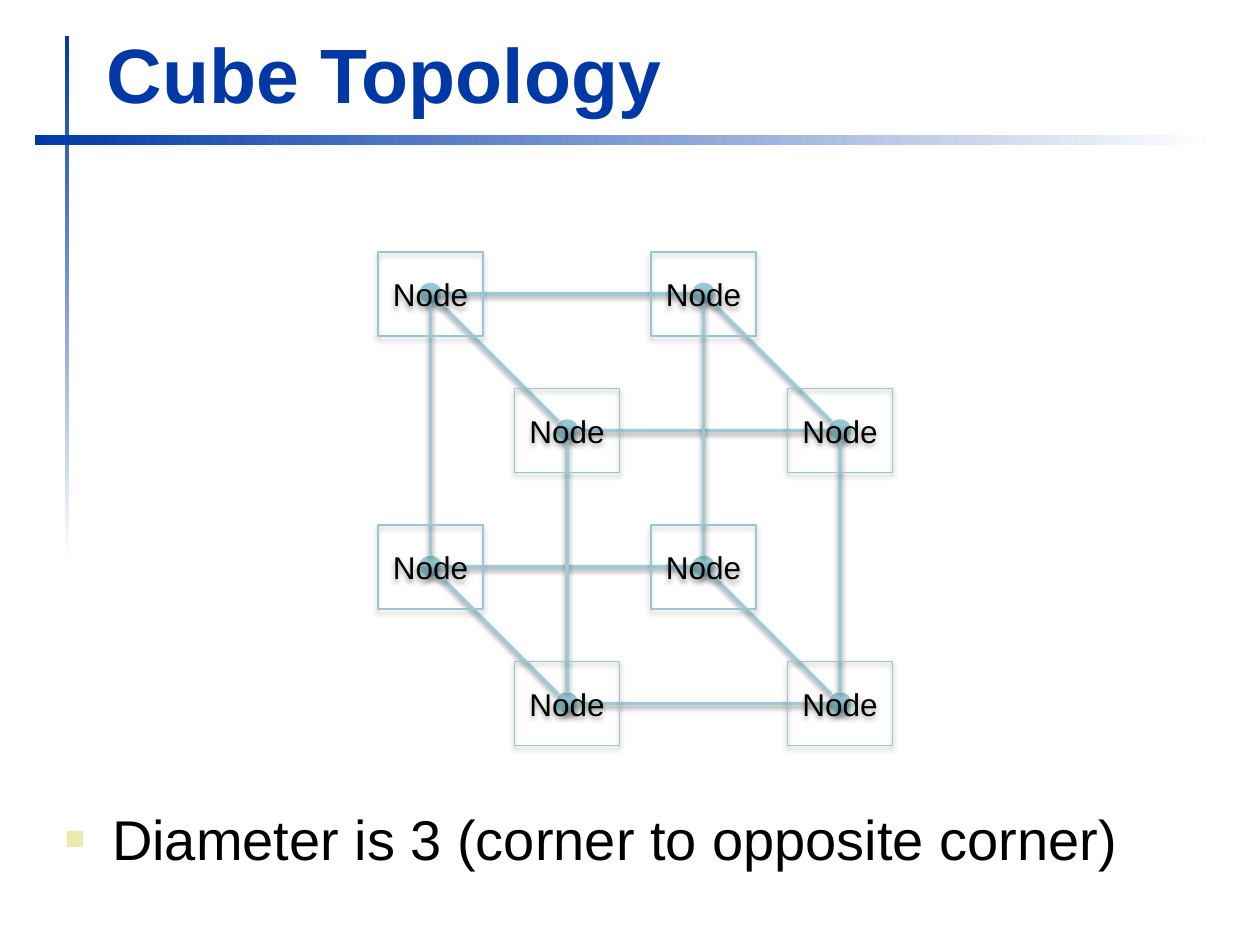
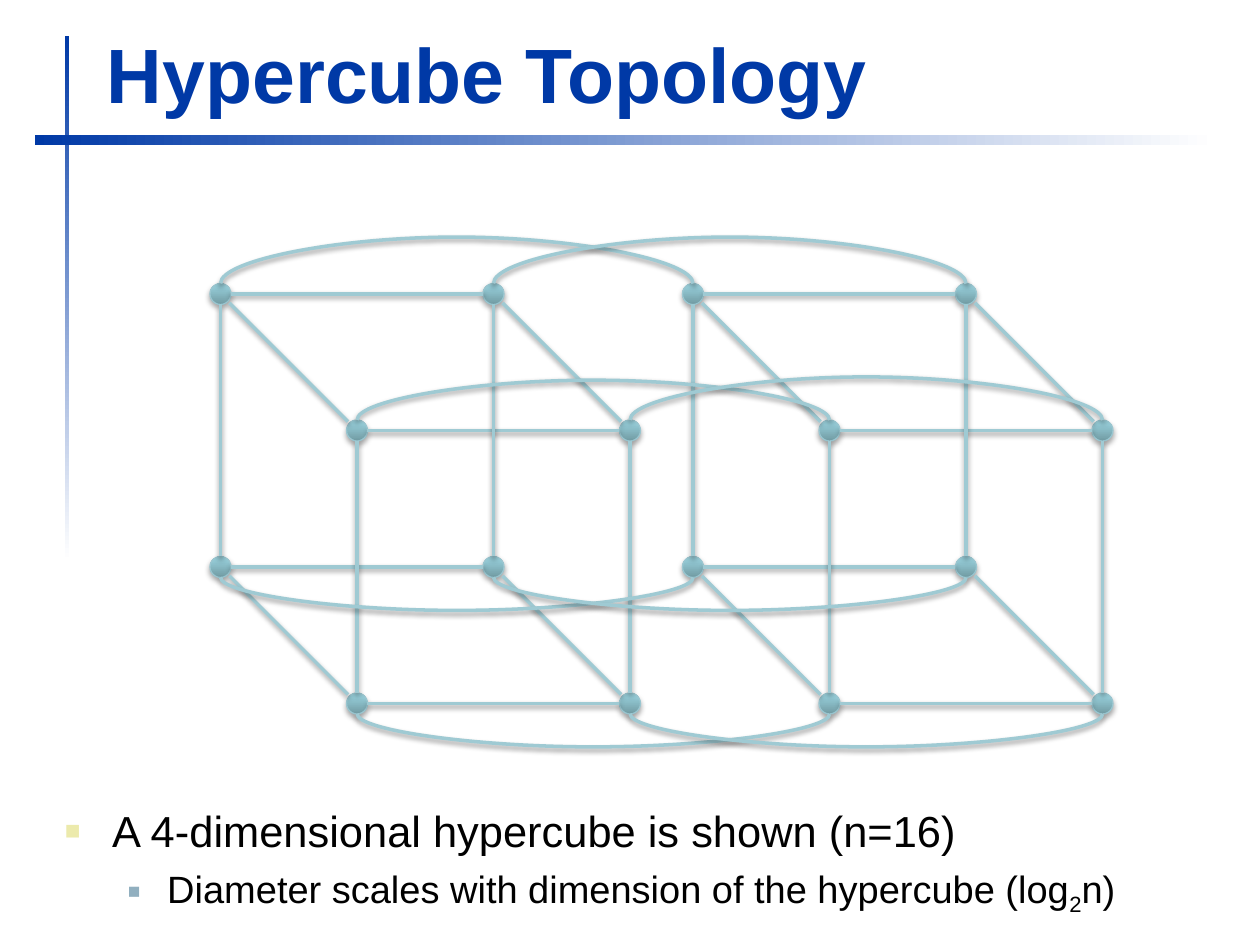
from itertools import product

from lxml.etree import SubElement
from pptx import Presentation
from pptx.dml.color import RGBColor
from pptx.enum.shapes import MSO_CONNECTOR, MSO_SHAPE
from pptx.enum.text import MSO_ANCHOR, PP_ALIGN
from pptx.oxml.ns import qn
from pptx.util import Pt

FONT = "Arial"
NAVY, WHITE, BLACK = "0039A6", "FFFFFF", "000000"
NODE_OUTLINE, LINK_COLOR = "9AC6D0", "9FCAD3"
NODE_GRADIENT = [(0, "719BA3"), (80, "93C9D4"), (100, "92CAD6")]
BAND_GRADIENT = [(0, NAVY), (100, WHITE)]
BULLETS = [
    {"color": "ECEAAC", "size": 60, "margin": 27, "hang": 27, "before": 3},
    {"color": "91AFBF", "size": 55, "margin": 58.5, "hang": 22.5, "before": 5},
]

RADIUS = 6
EDGE = 156
DEPTH = 78
CUBE_TOP = 168
LABEL_WIDTH, LABEL_HEIGHT = 60, 48
ARC_THICKNESS = 0.12
TOP, UPPER_LEFT, LEFT, BOTTOM, LOWER_RIGHT, RIGHT = 0, 1, 2, 4, 5, 6
SITE_DIRECTIONS = {
    TOP: (0, -1), UPPER_LEFT: (-0.85, -0.85), LEFT: (-1, 0),
    BOTTOM: (0, 1), LOWER_RIGHT: (0.85, 0.85), RIGHT: (1, 0),
}
AXIS_SITES = [(RIGHT, LEFT), (BOTTOM, TOP), (LOWER_RIGHT, UPPER_LEFT)]
ARC_BOWS = {(0, 0, 0): -28, (1, 0, 0): -28, (0, 0, 1): -24, (1, 0, 1): -26,
            (0, 1, 0): 20, (1, 1, 0): 20, (0, 1, 1): 20, (1, 1, 1): 20}


def rgb(hex_color):
    """Turn a hex string into a colour."""
    return RGBColor.from_string(hex_color)


def style_font(font, size, color, bold=False):
    """Apply the deck typeface with a size and colour."""
    font.name, font.size, font.bold = FONT, Pt(size), bold
    font.color.rgb = rgb(color)


def fill_gradient(shape, stops, angle):
    """Fill a shape with a linear gradient at a counter-clockwise angle."""
    shape.fill.gradient()
    shape.fill.gradient_angle = angle
    stop_list = shape._element.spPr.find(".//" + qn("a:gsLst"))
    for old_stop in list(stop_list):
        stop_list.remove(old_stop)
    for position, color in stops:
        stop = SubElement(stop_list, qn("a:gs"), pos=str(position * 1000))
        SubElement(stop, qn("a:srgbClr"), val=color)


def cast_shadow(shape, opacity, distance):
    """Drop a soft shadow straight down."""
    effects = SubElement(shape._element.spPr, qn("a:effectLst"))
    shadow = SubElement(effects, qn("a:outerShdw"), blurRad=str(Pt(3.1)),
                        dist=str(Pt(distance)), dir="5400000", rotWithShape="0")
    black = SubElement(shadow, qn("a:srgbClr"), val=BLACK)
    SubElement(black, qn("a:alpha"), val=str(opacity * 1000))


def add_bands(slide):
    """Draw the crossing gradient bands behind the title."""
    for box, angle in (((37, 20.5, 2.5, 300), 270), ((19.75, 77, 675, 5.75), 0)):
        band = slide.shapes.add_shape(MSO_SHAPE.RECTANGLE, *map(Pt, box))
        fill_gradient(band, BAND_GRADIENT, angle)
        band.line.fill.background()
        band.shadow.inherit = False


def add_title(slide, title, box=(54, 11.5, 650, 60)):
    """Write the slide title at the bottom of its box."""
    frame = slide.shapes.add_textbox(*map(Pt, box)).text_frame
    frame.word_wrap = True
    frame.vertical_anchor = MSO_ANCHOR.BOTTOM
    frame.text = title
    style_font(frame.paragraphs[0].font, 44, NAVY, bold=True)


def add_bullet(paragraph, level):
    """Give a paragraph the square bullet of its level."""
    bullet = BULLETS[level]
    paragraph.level = level
    paragraph.space_before = Pt(bullet["before"])
    properties = paragraph._p.get_or_add_pPr()
    properties.set("marL", str(Pt(bullet["margin"])))
    properties.set("indent", str(-Pt(bullet["hang"])))
    color = SubElement(properties, qn("a:buClr"))
    SubElement(color, qn("a:srgbClr"), val=bullet["color"])
    SubElement(properties, qn("a:buSzPct"), val=str(bullet["size"] * 1000))
    SubElement(properties, qn("a:buFont"), typeface=FONT)
    SubElement(properties, qn("a:buChar"), char="■")


def add_notes_on_diameter(slide, points, box=(30, 456, 648, 65.5)):
    """List (level, size, text parts) points, every second part a subscript."""
    body = slide.shapes.add_textbox(*map(Pt, box))
    body.fill.solid()
    body.fill.fore_color.rgb = rgb(WHITE)
    frame = body.text_frame
    frame.word_wrap = True
    for index, (level, size, parts) in enumerate(points):
        paragraph = frame.add_paragraph() if index else frame.paragraphs[0]
        add_bullet(paragraph, level)
        for part_index, part in enumerate(parts):
            run = paragraph.add_run()
            run.text = part
            if part_index % 2:
                run._r.get_or_add_rPr().set("baseline", "-25000")
        style_font(paragraph.font, size, BLACK)


def add_node(slide, center_x, center_y):
    """Draw one round node."""
    node = slide.shapes.add_shape(
        MSO_SHAPE.OVAL, Pt(center_x - RADIUS), Pt(center_y - RADIUS),
        Pt(2 * RADIUS), Pt(2 * RADIUS))
    fill_gradient(node, NODE_GRADIENT, 90)
    node.line.color.rgb = rgb(NODE_OUTLINE)
    node.line.width = Pt(0.75)
    cast_shadow(node, 35, 1.8)
    return node


def site_point(node, site):
    """Find where a connection site lies on a node."""
    across, down = SITE_DIRECTIONS[site]
    return (node.left + node.width // 2 + int(across * Pt(RADIUS)),
            node.top + node.height // 2 + int(down * Pt(RADIUS)))


def add_link(slide, start, start_site, end, end_site, kind=MSO_CONNECTOR.STRAIGHT):
    """Connect two nodes, glued to them except along diagonals."""
    link = slide.shapes.add_connector(
        kind, *site_point(start, start_site), *site_point(end, end_site))
    link.line.color.rgb = rgb(LINK_COLOR)
    link.line.width = Pt(2)
    cast_shadow(link, 38, 1.6)
    if start_site != LOWER_RIGHT:
        joints = link._element.find(".//" + qn("p:cNvCxnSpPr"))
        for tag, node, site in (("a:stCxn", start, start_site), ("a:endCxn", end, end_site)):
            SubElement(joints, qn(tag), id=str(node.shape_id), idx=str(site))
    return link


def add_arc(slide, start, end, bow):
    """Curve a link between two level nodes, bowing up if negative."""
    site = TOP if bow < 0 else BOTTOM
    arc = add_link(slide, start, site, end, site, MSO_CONNECTOR.CURVE)
    start_x, level_y = site_point(start, site)
    span = end.left - start.left
    arc.left = start_x + span // 2 - Pt(ARC_THICKNESS) // 2
    arc.top = level_y - span // 2
    arc.width, arc.height = Pt(ARC_THICKNESS), span
    turn = arc._element.spPr.find(qn("a:xfrm"))
    turn.set("rot", "16200000")
    turn.set("flipH", "1")
    adjustments = arc._element.spPr.find(".//" + qn("a:avLst"))
    SubElement(adjustments, qn("a:gd"), name="adj1",
               fmla=f"val {round(bow / ARC_THICKNESS * 100000)}")


def add_cube(slide, left, top=CUBE_TOP):
    """Draw a cube from its back upper left node and return its nodes by corner."""
    nodes = {
        (column, row, front): add_node(
            slide, left + column * EDGE + front * DEPTH, top + row * EDGE + front * DEPTH)
        for column, row, front in product((0, 1), repeat=3)
    }
    for axis, sites in enumerate(AXIS_SITES):
        for corner, node in nodes.items():
            if corner[axis] == 0:
                neighbor = nodes[corner[:axis] + (1,) + corner[axis + 1:]]
                add_link(slide, node, sites[0], neighbor, sites[1])
    return nodes


def add_node_label(slide, node):
    """Frame a node with a centred caption."""
    label = slide.shapes.add_shape(
        MSO_SHAPE.RECTANGLE,
        node.left + Pt(RADIUS - LABEL_WIDTH / 2), node.top + Pt(RADIUS - LABEL_HEIGHT / 2),
        Pt(LABEL_WIDTH), Pt(LABEL_HEIGHT))
    label.fill.background()
    label.line.color.rgb = rgb(NODE_OUTLINE)
    label.line.width = Pt(0.75)
    cast_shadow(label, 35, 1.8)
    frame = label.text_frame
    frame.vertical_anchor = MSO_ANCHOR.MIDDLE
    frame.text = "Node"
    caption = frame.paragraphs[0]
    caption.alignment = PP_ALIGN.CENTER
    style_font(caption.font, 18, BLACK)


def start_slide(deck, title, points):
    """Add a slide with its bands, title and bullet points."""
    slide = deck.slides.add_slide(deck.slide_layouts[6])
    add_bands(slide)
    add_title(slide, title)
    add_notes_on_diameter(slide, points)
    return slide


def build_cube_slide(deck):
    """Show a single cube with labelled nodes."""
    slide = start_slide(deck, "Cube Topology", [
        (0, 32, ["Diameter is 3 (corner to opposite corner)"])])
    for node in add_cube(slide, left=246).values():
        add_node_label(slide, node)


def build_hypercube_slide(deck):
    """Show two cubes whose matching corners are joined by arcs."""
    slide = start_slide(deck, "Hypercube Topology", [
        (0, 24.8, ["A 4-dimensional hypercube is shown (n=16)"]),
        (1, 21.7, ["Diameter scales with dimension of the hypercube (log", "2", "n)"])])
    first_cube = add_cube(slide, left=126)
    second_cube = add_cube(slide, left=396)
    for corner, bow in ARC_BOWS.items():
        add_arc(slide, first_cube[corner], second_cube[corner], bow)


def main():
    """Build and save the deck."""
    deck = Presentation()
    deck.slide_width, deck.slide_height = Pt(720), Pt(540)
    build_cube_slide(deck)
    build_hypercube_slide(deck)
    deck.save("out.pptx")


if __name__ == "__main__":
    main()
